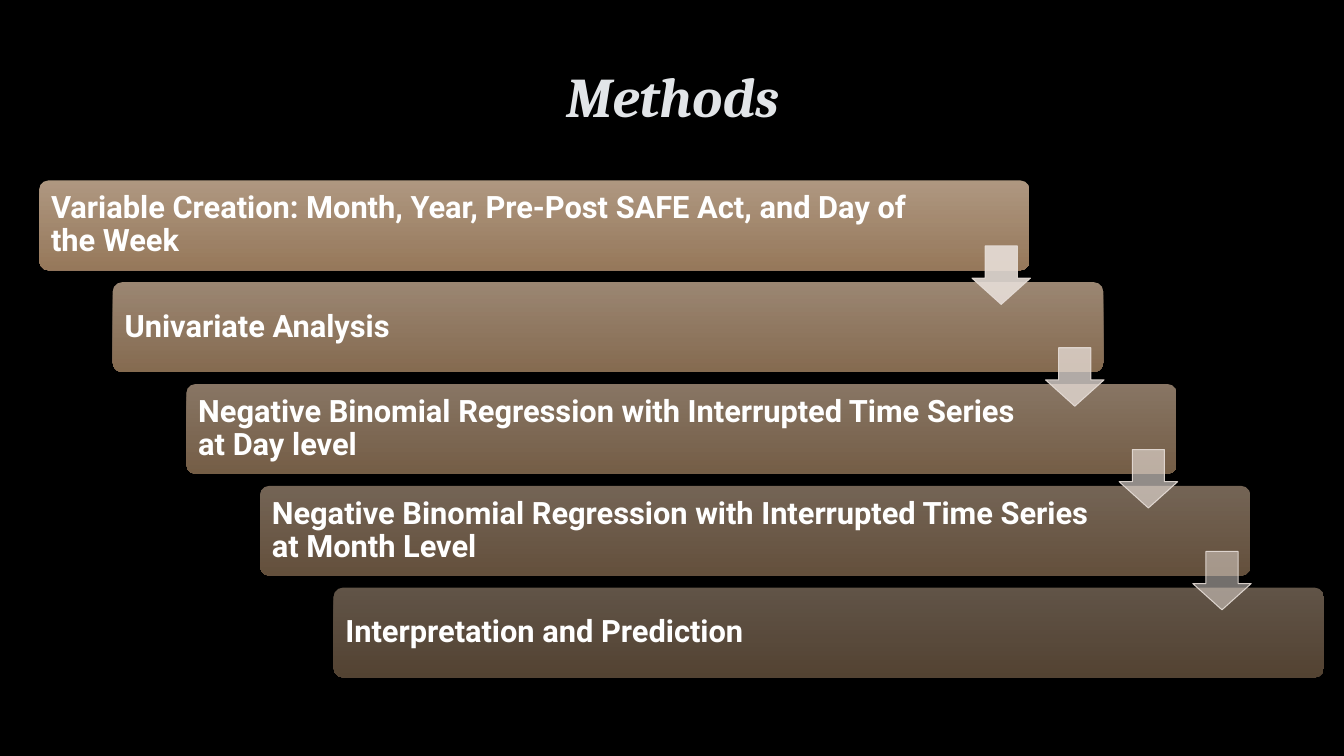
from pptx import Presentation
from pptx.dml.color import RGBColor
from pptx.enum.shapes import MSO_SHAPE
from pptx.enum.text import MSO_ANCHOR, PP_ALIGN
from pptx.oxml.ns import qn
from pptx.util import Inches, Pt
from lxml.etree import SubElement


def color(hex_value):
    return RGBColor.from_string(hex_value)


def set_opacity(element, percent):
    """Apply an opacity to every RGB colour inside an XML element."""
    for rgb in element.iter(qn("a:srgbClr")):
        SubElement(rgb, qn("a:alpha")).set("val", str(percent * 1000))


presentation = Presentation()
presentation.slide_width = Inches(13.33)
presentation.slide_height = Inches(7.5)
slide = presentation.slides.add_slide(presentation.slide_layouts[5])
slide.background.fill.solid()
slide.background.fill.fore_color.rgb = color("000000")

title = slide.shapes.title
title.left, title.top = Inches(1.01), Inches(0.3)
title.width, title.height = Inches(11.32), Inches(1.38)
title.text_frame.text = "Methods"
title.text_frame.vertical_anchor = MSO_ANCHOR.MIDDLE
paragraph = title.text_frame.paragraphs[0]
paragraph.alignment = PP_ALIGN.CENTER
paragraph.line_spacing = 0.9
paragraph.font.name = "Cambria"
paragraph.font.size = Pt(40)
paragraph.font.bold = True
paragraph.font.italic = True
paragraph.font.color.rgb = color("E2E5E8")

# Each step: text, right margin that leaves room for the arrow
steps = [
    ("Variable Creation: Month, Year, Pre-Post SAFE Act, and Day of the Week", 1.09),
    ("Univariate Analysis", 1.4),
    ("Negative Binomial Regression with Interrupted Time Series at Day level", 1.4),
    ("Negative Binomial Regression with Interrupted Time Series at Month Level", 1.4),
    ("Interpretation and Prediction", 1.4),
]
step_right, step_down = Inches(0.73), Inches(1.01)

for index, (text, right_margin) in enumerate(steps):
    bar = slide.shapes.add_shape(
        MSO_SHAPE.ROUNDED_RECTANGLE,
        Inches(0.39) + index * step_right, Inches(1.79) + index * step_down,
        Inches(9.82), Inches(0.89))
    bar.adjustments[0] = 0.1
    bar.shadow.inherit = False
    bar.line.fill.background()
    bar.fill.gradient()
    bar.fill.gradient_angle = 270
    for stop, position, shade in zip(bar.fill.gradient_stops, (0, 1), ("C2A88F", "A78665")):
        stop.position = position
        stop.color.rgb = color(shade)
    set_opacity(bar.element.spPr, 90 - 10 * index)

    frame = bar.text_frame
    frame.word_wrap = True
    frame.vertical_anchor = MSO_ANCHOR.MIDDLE
    frame.margin_left = Inches(0.09)
    frame.margin_right = Inches(right_margin)
    frame.text = text
    paragraph = frame.paragraphs[0]
    paragraph.alignment = PP_ALIGN.LEFT
    paragraph.line_spacing = 0.9
    paragraph.font.name = "Roboto"
    paragraph.font.size = Pt(22)
    paragraph.font.bold = True
    paragraph.font.color.rgb = color("FFFFFF")

for index, opacity in enumerate((90, 77, 63, 50)):
    arrow = slide.shapes.add_shape(
        MSO_SHAPE.DOWN_ARROW,
        Inches(9.64) + index * step_right, Inches(2.44) + index * step_down,
        Inches(0.58), Inches(0.58))
    arrow.adjustments[0] = 0.55
    arrow.adjustments[1] = 0.45
    arrow.shadow.inherit = False
    arrow.fill.solid()
    arrow.fill.fore_color.rgb = color("E7DED8")
    arrow.line.color.rgb = color("E7DED8")
    arrow.line.width = Pt(0.75)
    set_opacity(arrow.element.spPr.find(qn("a:solidFill")), opacity)
    set_opacity(arrow.element.spPr.find(qn("a:ln")), 90)

presentation.save("out.pptx")
